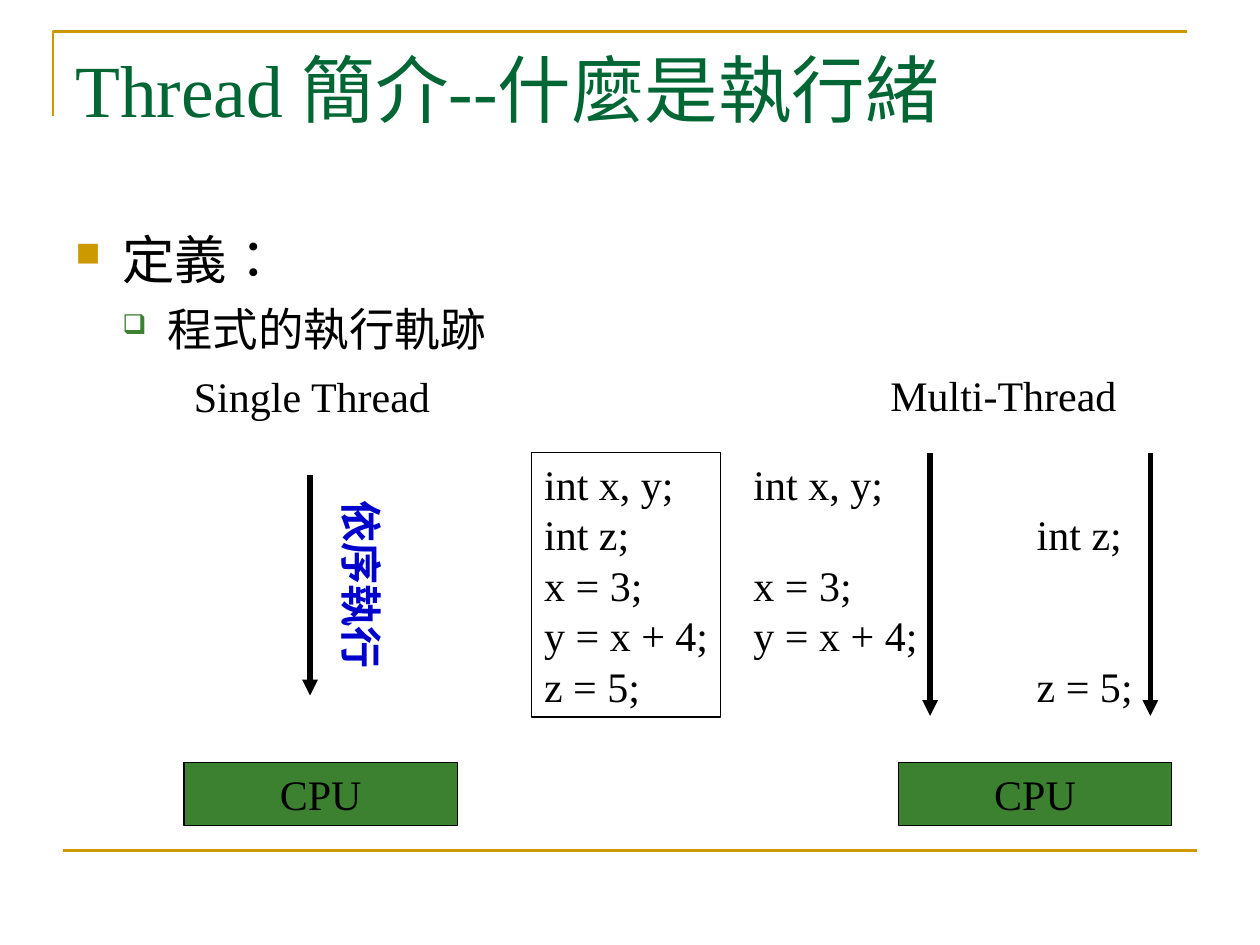
import pptx
import pptx.util
import pptx.dml.color
import pptx.enum.shapes
import pptx.enum.text
import pptx.oxml
import pptx.oxml.ns
from dataclasses import dataclass
from typing import Optional

Cm = pptx.util.Cm
Pt = pptx.util.Pt
Shape = pptx.enum.shapes.MSO_SHAPE
Anchor = pptx.enum.text.MSO_ANCHOR
Align = pptx.enum.text.PP_ALIGN
AutoSize = pptx.enum.text.MSO_AUTO_SIZE


@dataclass(frozen=True)
class Theme:
    serif: str = "Times New Roman"
    sans: str = "Arial"
    language: str = "zh-TW"
    gold: str = "CC9900"
    title_green: str = "006633"
    green: str = "3B812F"
    blue: str = "0000CC"
    black: str = "000000"
    title_size: float = 42
    body_size: float = 30
    sub_size: float = 26
    label_size: float = 24
    line_pitch: float = 28.8
    rule_width: float = 1.5
    arrow_width: float = 3
    border_width: float = 0.75


@dataclass(frozen=True)
class Place:
    left: float
    top: float
    width: float
    height: float

    def lengths(self) -> tuple:
        return Cm(self.left), Cm(self.top), Cm(self.width), Cm(self.height)


@dataclass(frozen=True)
class Label:
    text: str
    place: Place
    color: str
    bold: bool = False
    rotation: float = 0


@dataclass(frozen=True)
class CodeColumn:
    left: float
    width: float
    rows: tuple
    framed: bool = False


@dataclass(frozen=True)
class Bullet:
    text: str
    level: int
    margin: float
    hanging: float
    symbol: str
    color: str
    percent: int
    size: float
    before: float


@dataclass(frozen=True)
class Line:
    start: tuple
    end: tuple
    color: str
    width: float
    arrow: bool = False


THEME = Theme()
CODE = ("int x, y;", "int z;", "x = 3;", "y = x + 4;", "z = 5;")
CODE_TOP = 9.12
ROW_HEIGHT = 1.016
INSETS = 0.254

BULLETS = (
    Bullet("定義：", 0, 0.95, 0.95, "■", THEME.gold, 65, THEME.body_size, 0),
    Bullet("程式的執行軌跡", 1, 1.85, 0.9, "❑", THEME.green, 60, THEME.sub_size, 6.5),
)
LABELS = (
    Label("Single Thread", Place(3.66, 7.34, 5.3, 1.27), THEME.black),
    Label("Multi-Thread", Place(17.7, 7.32, 5.2, 1.27), THEME.black),
    Label("依序執行", Place(5.36, 11.15, 3.89, 1.27), THEME.blue, True, 90),
)
COLUMNS = (
    CodeColumn(10.72, 3.81, (0, 1, 2, 3, 4), True),
    CodeColumn(14.94, 3.81, (0, 2, 3)),
    CodeColumn(20.65, 2.44, (1, 4)),
)
LINES = (
    Line((1.27, 17.15), (24.13, 17.15), THEME.gold, THEME.rule_width),
    Line((6.25, 9.58), (6.25, 14.02), THEME.black, THEME.arrow_width, True),
    Line((18.75, 9.14), (18.75, 14.43), THEME.black, THEME.arrow_width, True),
    Line((23.19, 9.14), (23.19, 14.43), THEME.black, THEME.arrow_width, True),
)
CPU_LEFTS = (3.71, 18.11)


def rgb(color: str):
    return pptx.dml.color.RGBColor.from_string(color)


def set_values(target, values: dict) -> None:
    for name, value in values.items():
        setattr(target, name, value)


def add_child(parent, tag: str, **attributes: str):
    element = parent.makeelement(pptx.oxml.ns.qn(tag), attributes)
    parent.append(element)
    return element


def set_line(line, color: str, width: float) -> None:
    line.color.rgb = rgb(color)
    line.width = Pt(width)


def write(para, text: str, size: float, color: str, font: str = THEME.serif, bold: bool = False) -> None:
    span = para.add_run()
    span.text = text
    set_values(span.font, {"size": Pt(size), "name": font, "bold": bold})
    span.font.color.rgb = rgb(color)
    span._r.get_or_add_rPr().set("lang", THEME.language)


def add_text_box(slide, place: Place, wrap: bool):
    box = slide.shapes.add_textbox(*place.lengths())
    box.text_frame.word_wrap = wrap
    return box


def add_rectangle(slide, place: Place, fill: Optional[str], anchor):
    box = slide.shapes.add_shape(Shape.RECTANGLE, *place.lengths())
    box.shadow.inherit = False
    set_line(box.line, THEME.black, THEME.border_width)
    if fill:
        box.fill.solid()
        box.fill.fore_color.rgb = rgb(fill)
    else:
        box.fill.background()
    set_values(box.text_frame, {"word_wrap": False, "vertical_anchor": anchor})
    return box


def add_frame(slide) -> None:
    builder = slide.shapes.build_freeform(Cm(1.07), Cm(2.34), scale=1.0)
    builder.add_line_segments([(Cm(1.07), Cm(0.64)), (Cm(23.93), Cm(0.64))], close=False)
    frame = builder.convert_to_shape()
    frame.shadow.inherit = False
    frame.fill.background()
    set_line(frame.line, THEME.gold, THEME.rule_width)


def add_line(slide, line: Line) -> None:
    ends = [Cm(value) for value in line.start + line.end]
    connector = slide.shapes.add_connector(pptx.enum.shapes.MSO_CONNECTOR.STRAIGHT, *ends)
    set_line(connector.line, line.color, line.width)
    properties = connector._element.spPr
    if line.arrow:
        add_child(properties.get_or_add_ln(), "a:tailEnd", type="triangle")
    add_child(properties, "a:effectLst")


def add_bullets(slide) -> None:
    box = add_text_box(slide, Place(1.27, 4.45, 22.86, 12.57), True)
    for index, bullet in enumerate(BULLETS):
        para = box.text_frame.add_paragraph() if index else box.text_frame.paragraphs[0]
        set_values(para, {"level": bullet.level, "space_before": Pt(bullet.before)})
        properties = para._p.get_or_add_pPr()
        properties.set("marL", str(Cm(bullet.margin)))
        properties.set("indent", str(-Cm(bullet.hanging)))
        add_child(add_child(properties, "a:buClr"), "a:srgbClr", val=bullet.color)
        add_child(properties, "a:buSzPct", val=str(bullet.percent * 1000))
        add_child(properties, "a:buChar", char=bullet.symbol)
        write(para, bullet.text, bullet.size, THEME.black, THEME.sans)


def add_label(slide, label: Label) -> None:
    box = add_text_box(slide, label.place, False)
    box.rotation = label.rotation
    box.text_frame.auto_size = AutoSize.SHAPE_TO_FIT_TEXT
    para = box.text_frame.paragraphs[0]
    para.line_spacing = Pt(THEME.line_pitch)
    write(para, label.text, THEME.label_size, label.color, bold=label.bold)


def add_code(slide, column: CodeColumn) -> None:
    first, last = column.rows[0], column.rows[-1]
    height = (last - first + 1) * ROW_HEIGHT + INSETS
    place = Place(column.left, CODE_TOP + first * ROW_HEIGHT, column.width, height)
    box = add_rectangle(slide, place, None, Anchor.TOP) if column.framed else add_text_box(slide, place, False)
    box.text_frame.auto_size = AutoSize.SHAPE_TO_FIT_TEXT
    previous = first - 1
    for row in column.rows:
        para = box.text_frame.paragraphs[0] if row == first else box.text_frame.add_paragraph()
        skipped = row - previous - 1
        set_values(para, {
            "alignment": Align.LEFT,
            "line_spacing": Pt(THEME.line_pitch),
            "space_before": Pt(skipped * THEME.line_pitch),
        })
        write(para, CODE[row], THEME.label_size, THEME.black)
        previous = row


def add_cpu(slide, left: float) -> None:
    box = add_rectangle(slide, Place(left, 15.37, 5.51, 1.27), THEME.green, Anchor.MIDDLE)
    para = box.text_frame.paragraphs[0]
    set_values(para, {"alignment": Align.CENTER, "line_spacing": Pt(THEME.line_pitch)})
    write(para, "CPU", THEME.label_size, THEME.black)


def main() -> None:
    deck = pptx.Presentation()
    set_values(deck, {"slide_width": Cm(25.4), "slide_height": Cm(19.05)})
    page = deck.slides.add_slide(deck.slide_layouts[6])
    add_frame(page)
    title = add_text_box(page, Place(1.27, 0.76, 22.86, 3.18), True)
    write(title.text_frame.paragraphs[0], "Thread 簡介--什麼是執行緒", THEME.title_size, THEME.title_green)
    add_bullets(page)
    for draw, items in ((add_line, LINES), (add_label, LABELS), (add_code, COLUMNS), (add_cpu, CPU_LEFTS)):
        for item in items:
            draw(page, item)
    deck.save("out.pptx")


if __name__ == "__main__":
    main()
